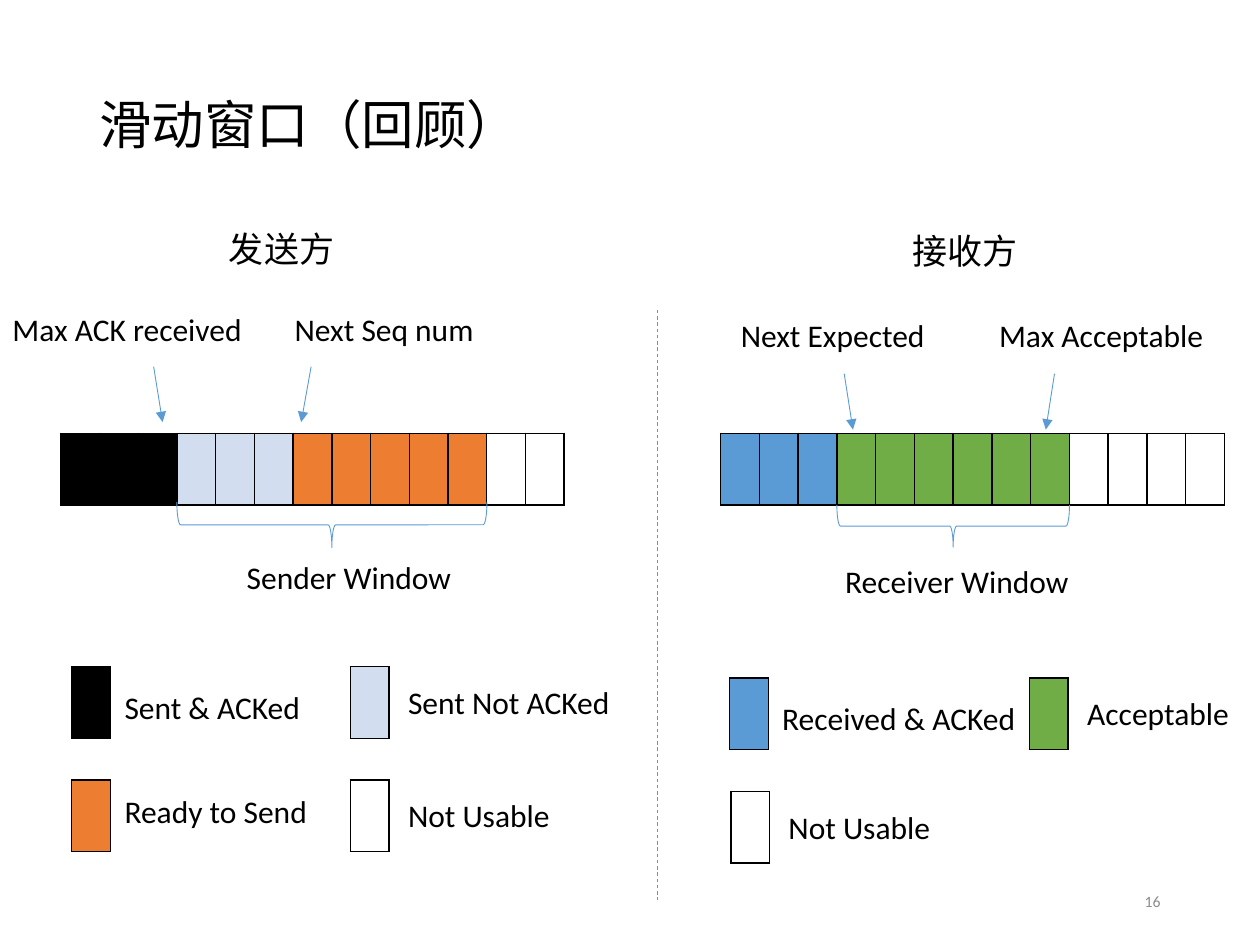
from dataclasses import dataclass

import pptx
import pptx.dml.color
import pptx.enum.dml
import pptx.enum.shapes
import pptx.enum.text
import pptx.oxml
import pptx.oxml.ns
import pptx.util

Pt = pptx.util.Pt
MSO_SHAPE = pptx.enum.shapes.MSO_SHAPE
ALIGN = pptx.enum.text.PP_ALIGN
ANCHOR = pptx.enum.text.MSO_ANCHOR


@dataclass(frozen=True)
class Theme:
    latin: str = "Calibri"
    cjk: str = "Noto Sans CJK SC"
    black: str = "000000"
    white: str = "FFFFFF"
    pale: str = "D2DEEF"
    orange: str = "ED7D31"
    blue: str = "5B9BD5"
    green: str = "70AD47"
    grey: str = "8C8C8C"
    title: int = 30
    heading: int = 20
    body: int = 18
    number: int = 9


T = Theme()
CELL_W, CELL_H, STRIP_TOP = 22.15, 41, 247.7


def rgb(value):
    return pptx.dml.color.RGBColor.from_string(value)


def add_xml(parent, xml):
    ns = pptx.oxml.ns.nsdecls("a")
    el = pptx.oxml.parse_xml(xml.replace("NS", ns, 1))
    parent.append(el)


def write(sp, text, size=T.body, font=T.latin, color=T.black,
          align=ALIGN.LEFT, anchor=ANCHOR.TOP, wrap=False):
    tf = sp.text_frame
    tf.word_wrap = wrap
    tf.vertical_anchor = anchor
    tf.auto_size = (pptx.enum.text.MSO_AUTO_SIZE.NONE if wrap else
                    pptx.enum.text.MSO_AUTO_SIZE.SHAPE_TO_FIT_TEXT)
    p = tf.paragraphs[0]
    p.alignment = align
    r = p.add_run()
    r.text = text
    r.font.size = Pt(size)
    r.font.name = font
    r.font.color.rgb = rgb(color)
    add_xml(r.font._element, f'<a:ea NS typeface="{T.cjk}"/>')
    return p


def add_label(s, text, x, y, w, h=29, **fmt):
    write(s.shapes.add_textbox(Pt(x), Pt(y), Pt(w), Pt(h)), text, **fmt)


def add_title(s, text):
    sp = s.shapes.title
    sp.left, sp.top, sp.width, sp.height = Pt(49.5), Pt(28.75), Pt(621), Pt(88.5)
    p = write(sp, text, size=T.title, anchor=ANCHOR.MIDDLE, wrap=True)
    p.line_spacing = 0.9


def add_cells(s, x, y, colors):
    n = len(colors)
    table = s.shapes.add_table(1, n, Pt(x), Pt(y), Pt(n * CELL_W), Pt(CELL_H)).table
    table.first_row = table.horz_banding = False
    table.rows[0].height = Pt(CELL_H)
    for i, color in enumerate(colors):
        table.columns[i].width = Pt(CELL_W)
        cell = table.cell(0, i)
        tc_pr = cell._tc.get_or_add_tcPr()
        for side in ("lnL", "lnR", "lnT", "lnB"):
            add_xml(tc_pr, f'<a:{side} NS w="{Pt(1)}"><a:solidFill>'
                           f'<a:srgbClr val="{T.black}"/></a:solidFill></a:{side}>')
        cell.fill.solid()
        cell.fill.fore_color.rgb = rgb(color)


def add_line(s, x1, y1, x2, y2, color=T.blue, dash=False, arrow=False):
    sp = s.shapes.add_connector(pptx.enum.shapes.MSO_CONNECTOR.STRAIGHT,
                                Pt(x1), Pt(y1), Pt(x2), Pt(y2))
    sp.line.color.rgb = rgb(color)
    sp.line.width = Pt(0.5)
    if dash:
        sp.line.dash_style = pptx.enum.dml.MSO_LINE.DASH
    if arrow:
        add_xml(sp.line._get_or_add_ln(), '<a:tailEnd NS type="triangle"/>')
    add_xml(sp._element.spPr, '<a:effectLst NS/>')


def add_brace(s, strip_x, first, last, depth, middle_y):
    length = (last - first) * CELL_W
    middle_x = strip_x + (first + last) / 2 * CELL_W
    sp = s.shapes.add_shape(MSO_SHAPE.LEFT_BRACE, Pt(middle_x - depth / 2),
                            Pt(middle_y - length / 2), Pt(depth), Pt(length))
    sp.rotation = 270
    sp.shadow.inherit = False
    sp.fill.background()
    sp.line.color.rgb = rgb(T.blue)
    sp.line.width = Pt(0.5)


def add_side(s, heading, strip_x, runs, window, labels, arrows, brace, legend):
    text, x, y = heading
    add_label(s, text, x, y, 75, 31.7, size=T.heading, font=T.cjk)
    add_cells(s, strip_x, STRIP_TOP, [c for c, n in runs for _ in range(n)])
    for label in labels:
        add_label(s, *label)
    for arrow in arrows:
        add_line(s, *arrow, arrow=True)
    add_brace(s, strip_x, *brace)
    add_label(s, *window)
    for color, swatch_x, swatch_y, *label in legend:
        add_cells(s, swatch_x, swatch_y, [color])
        add_label(s, *label)


def main():
    prs = pptx.Presentation()
    prs.slide_width, prs.slide_height = Pt(720), Pt(540)
    s = prs.slides.add_slide(prs.slide_layouts[5])
    add_title(s, "滑动窗口（回顾）")
    add_side(
        s, ("发送方", 123.8, 126.7), 34.6,
        [(T.black, 3), (T.pale, 3), (T.orange, 5), (T.white, 2)],
        window=("Sender Window", 133.9, 315.4, 132.5),
        labels=[("Max ACK received", 0, 173.5, 147),
                ("Next Seq num", 161.3, 173.5, 118)],
        arrows=[(87.8, 209.5, 92.9, 241.2), (177.8, 209.5, 172.1, 241.2)],
        brace=(3, 11, 26, 299.9),
        legend=[(T.black, 41, 380.9, "Sent & ACKed", 64.1, 389.5, 116),
                (T.pale, 200.2, 380.9, "Sent Not ACKed", 226.1, 386.6, 131),
                (T.orange, 41, 445.7, "Ready to Send", 64.1, 449.3, 120),
                (T.white, 200.2, 445.7, "Not Usable", 226.1, 451.4, 96.5)])
    add_side(
        s, ("接收方", 514.1, 127.4), 411.8,
        [(T.blue, 3), (T.green, 6), (T.white, 4)],
        window=("Receiver Window", 475.9, 317.5, 144),
        labels=[("Next Expected", 416.2, 177.1, 121),
                ("Max Acceptable", 563.8, 177.1, 132.5)],
        arrows=[(482.4, 213.5, 487.4, 245.5), (602.6, 213.5, 597.6, 245.5)],
        brace=(3, 9, 24, 300.6),
        legend=[(T.blue, 416.9, 387.4, "Received & ACKed", 439.9, 396, 149),
                (T.green, 588.2, 387.4, "Acceptable", 614.2, 393.1, 96.5),
                (T.white, 417.6, 452.2, "Not Usable", 443.5, 457.9, 96.5)])
    add_line(s, 375.8, 177.1, 375.8, 514.1, color=T.grey, dash=True)
    add_label(s, "16", 508.3, 500.4, 162, size=T.number, color=T.grey,
              align=ALIGN.RIGHT, anchor=ANCHOR.MIDDLE, wrap=True)
    prs.save("out.pptx")


if __name__ == "__main__":
    main()
